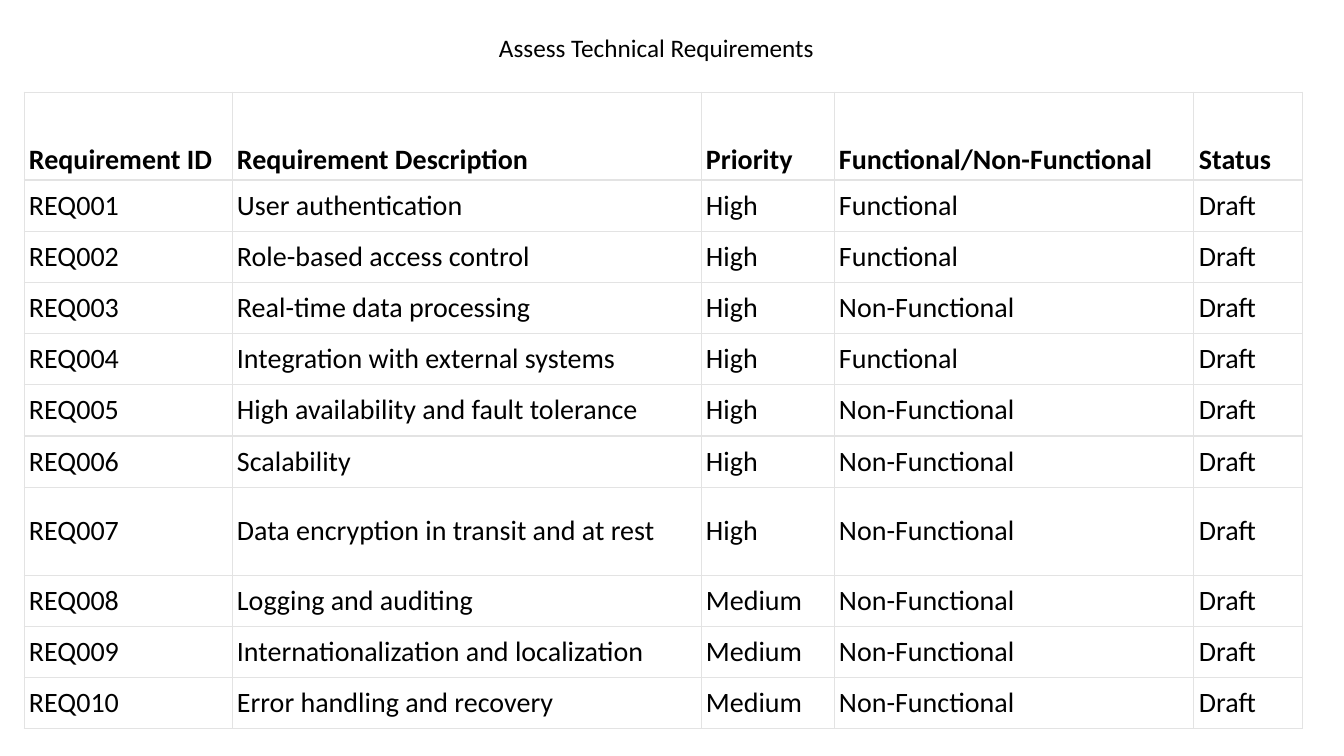
from dataclasses import dataclass

from lxml import etree
from pptx import Presentation
from pptx.dml.color import RGBColor
from pptx.enum.text import MSO_ANCHOR, MSO_AUTO_SIZE, PP_ALIGN
from pptx.oxml.ns import qn
from pptx.util import Pt

TOP, MIDDLE, BOTTOM = MSO_ANCHOR.TOP, MSO_ANCHOR.MIDDLE, MSO_ANCHOR.BOTTOM
LEFT = PP_ALIGN.LEFT
NO_AUTOFIT = MSO_AUTO_SIZE.NONE
TITLE_ONLY = 5

TITLE = "Assess Technical Requirements"
HEADINGS = ("Requirement ID", "Requirement Description", "Priority",
            "Functional/Non-Functional", "Status")
REQUIREMENTS = [
    ("REQ001", "User authentication", "High", "Functional", "Draft"),
    ("REQ002", "Role-based access control", "High", "Functional", "Draft"),
    ("REQ003", "Real-time data processing", "High", "Non-Functional", "Draft"),
    ("REQ004", "Integration with external systems", "High", "Functional", "Draft"),
    ("REQ005", "High availability and fault tolerance", "High", "Non-Functional", "Draft"),
    ("REQ006", "Scalability", "High", "Non-Functional", "Draft"),
    ("REQ007", "Data encryption in transit and at rest", "High", "Non-Functional", "Draft"),
    ("REQ008", "Logging and auditing", "Medium", "Non-Functional", "Draft"),
    ("REQ009", "Internationalization and localization", "Medium", "Non-Functional", "Draft"),
    ("REQ010", "Error handling and recovery", "Medium", "Non-Functional", "Draft"),
]

# Lengths in px
SLIDE_SIZE = (1344, 756)
TITLE_BOX = (489, 27, 672, 40)
TABLE_LEFT, TABLE_TOP, TABLE_HEIGHT = 24, 92, 637
COLUMN_WIDTHS = (208, 469, 133, 360, 109)
TALL_ROWS, TALL_HEIGHT = (0, 7), 88
CELL_INSETS = (5, 3)
TITLE_INSETS = (10, 5)


@dataclass(frozen=True)
class Theme:
    font: str = "Calibri"
    ink: str = "000000"
    paper: str = "FFFFFF"
    grid: str = "E3E3E3"
    title_pt: int = 18
    table_pt: int = 20
    thin_pt: float = 0.75
    rule_pt: float = 1


THEME = Theme()


def px(length):
    return round(length * 914400 / 100.8)


def write(frame, text, *, size, bold=False):
    frame.text = text
    paragraph = frame.paragraphs[0]
    paragraph.alignment = LEFT
    font = paragraph.runs[0].font
    font.name, font.size, font.bold = THEME.font, Pt(size), bold
    font.color.rgb = RGBColor.from_string(THEME.ink)


def inset(holder, insets):
    holder.margin_left = holder.margin_right = px(insets[0])
    holder.margin_top = holder.margin_bottom = px(insets[1])


def draw_borders(cell, **widths):
    """Line each named side (L, R, T, B) with its width in points."""
    properties = cell._tc.get_or_add_tcPr()
    for side, width in widths.items():
        line = etree.SubElement(properties, qn(f"a:ln{side}"), w=str(Pt(width)))
        fill = etree.SubElement(line, qn("a:solidFill"))
        etree.SubElement(fill, qn("a:srgbClr"), val=THEME.grid)


def add_title(slide):
    title = slide.shapes.title
    title.left, title.top, title.width, title.height = map(px, TITLE_BOX)
    frame = title.text_frame
    frame.auto_size, frame.word_wrap = NO_AUTOFIT, True
    frame.vertical_anchor = TOP
    inset(frame, TITLE_INSETS)
    write(frame, TITLE, size=THEME.title_pt)


def add_requirements(slide):
    records = [HEADINGS, *REQUIREMENTS]
    last = len(records) - 1
    regular_height = ((TABLE_HEIGHT - TALL_HEIGHT * len(TALL_ROWS))
                      / (len(records) - len(TALL_ROWS)))
    table = slide.shapes.add_table(
        len(records), len(HEADINGS), px(TABLE_LEFT), px(TABLE_TOP),
        px(sum(COLUMN_WIDTHS)), px(TABLE_HEIGHT)).table
    table.first_row = table.horz_banding = False
    for column, width in zip(table.columns, COLUMN_WIDTHS):
        column.width = px(width)
    for index, record in enumerate(records):
        heading = index == 0
        table.rows[index].height = px(TALL_HEIGHT if index in TALL_ROWS else regular_height)
        for cell, text in zip(table.rows[index].cells, record):
            write(cell.text_frame, text, size=THEME.table_pt, bold=heading)
            cell.vertical_anchor = BOTTOM if heading else MIDDLE
            inset(cell, CELL_INSETS)
            draw_borders(cell, L=THEME.thin_pt, R=THEME.thin_pt,
                         T=THEME.thin_pt if heading else THEME.rule_pt,
                         B=THEME.thin_pt if index == last else THEME.rule_pt)
            cell.fill.solid()
            cell.fill.fore_color.rgb = RGBColor.from_string(THEME.paper)


def main():
    deck = Presentation()
    deck.slide_width, deck.slide_height = map(px, SLIDE_SIZE)
    slide = deck.slides.add_slide(deck.slide_layouts[TITLE_ONLY])
    add_requirements(slide)
    add_title(slide)
    deck.save("out.pptx")


if __name__ == "__main__":
    main()
